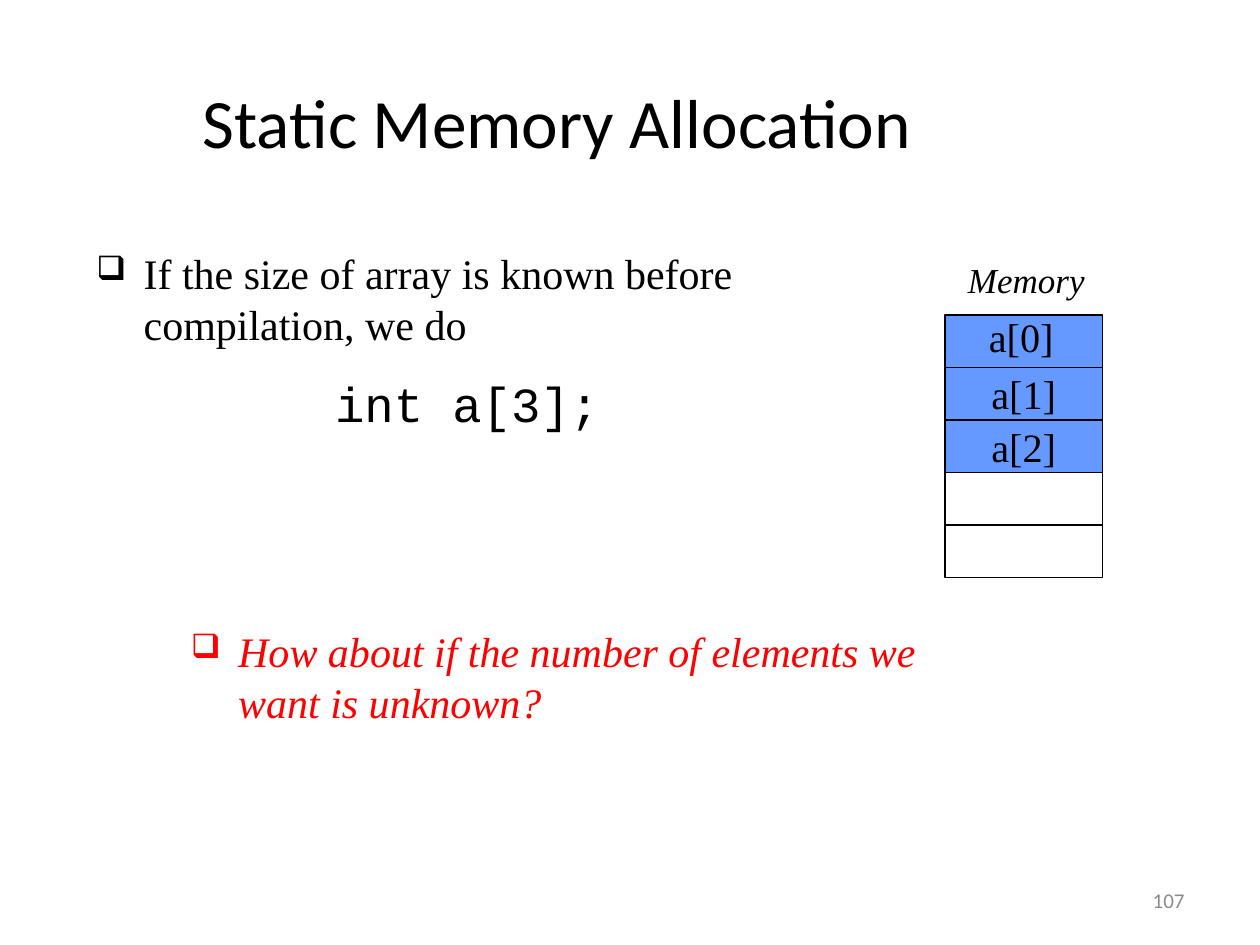
from lxml.etree import SubElement
from pptx import Presentation
from pptx.dml.color import RGBColor
from pptx.enum.shapes import MSO_SHAPE as Shape
from pptx.enum.text import MSO_ANCHOR as Anchor, PP_ALIGN as Align
from pptx.oxml.ns import qn
from pptx.util import Emu, Pt

SERIF = "Times New Roman"
CELL_LABELS = ["", "a[1]", "a[2]", "", ""]
USED_CELLS = 3
CELL_LEFT, CELL_TOP, CELL_WIDTH, CELL_HEIGHT = 720, 240, 120, 40


def px(*lengths):
    """Turn pixels at 96 to the inch into a list of EMU lengths."""
    return [Emu(length * 9525) for length in lengths]


def color(value):
    """Make a colour from a hex string."""
    return RGBColor.from_string(value)


def add_bullet(paragraph):
    """Give a paragraph a hanging box bullet."""
    properties = paragraph._p.get_or_add_pPr()
    indent = px(36)[0]
    properties.set("marL", str(indent))
    properties.set("indent", str(-indent))
    SubElement(properties, qn("a:buSzPct"), val="80000")
    SubElement(properties, qn("a:buChar"), char="❑")


def write(shape, text, size=24, font=SERIF, fill="000000", italic=False,
          align=Align.LEFT, anchor=Anchor.TOP, wrap=True, bullet=False):
    """Put one formatted paragraph into a shape."""
    frame = shape.text_frame
    frame.word_wrap = wrap
    frame.vertical_anchor = anchor
    paragraph = frame.paragraphs[0]
    paragraph.alignment = align
    if bullet:
        add_bullet(paragraph)
    run = paragraph.add_run()
    run.text = text
    run.font.name = font
    run.font.size = Pt(size)
    run.font.italic = italic
    run.font.color.rgb = color(fill)


def add_text(slide, box, text, **style):
    """Add a text box at a pixel box of left, top, width and height."""
    write(slide.shapes.add_textbox(*px(*box)), text, **style)


def add_title(slide, box, text):
    """Move and fill the title placeholder."""
    title = slide.shapes.title
    title.left, title.top, title.width, title.height = px(*box)
    write(title, text, size=39.6, font="Calibri", align=Align.CENTER,
          anchor=Anchor.MIDDLE)


def add_cell(slide, index, label):
    """Add one memory cell of the column."""
    top = CELL_TOP + index * CELL_HEIGHT
    cell = slide.shapes.add_shape(
        Shape.RECTANGLE, *px(CELL_LEFT, top, CELL_WIDTH, CELL_HEIGHT))
    cell.shadow.inherit = False
    cell.line.color.rgb = color("000000")
    cell.line.width = Pt(0.75)
    if index < USED_CELLS:
        cell.fill.solid()
        cell.fill.fore_color.rgb = color("6699FF")
    else:
        cell.fill.background()
    if label:
        write(cell, label, size=23, align=Align.CENTER, anchor=Anchor.MIDDLE,
              wrap=False)


def main():
    """Build the slide and save it."""
    presentation = Presentation()
    presentation.slide_width, presentation.slide_height = px(960, 720)
    slide = presentation.slides.add_slide(presentation.slide_layouts[5])
    add_title(slide, (64, 56, 721, 72), "Static Memory Allocation")
    add_text(slide, (64, 184, 552, 120),
             "If the size of array is known before compilation, we do",
             bullet=True)
    add_text(slide, (232, 280, 248, 64), "int a[3];", size=28,
             font="Courier New", align=Align.CENTER)
    add_text(slide, (728, 192, 108, 41), "Memory", size=20, italic=True,
             wrap=False)
    for index, label in enumerate(CELL_LABELS):
        add_cell(slide, index, label)
    add_text(slide, (744, 233, 69, 46), "a[0]", size=23, wrap=False)
    add_text(slide, (136, 472, 600, 96),
             "How about if the number of elements we want is unknown?",
             fill="FF0000", italic=True, bullet=True)
    add_text(slide, (688, 667, 224, 38), "107", size=12, font="Calibri",
             fill="8C8C8C", align=Align.RIGHT, anchor=Anchor.MIDDLE)
    presentation.save("out.pptx")


if __name__ == "__main__":
    main()
